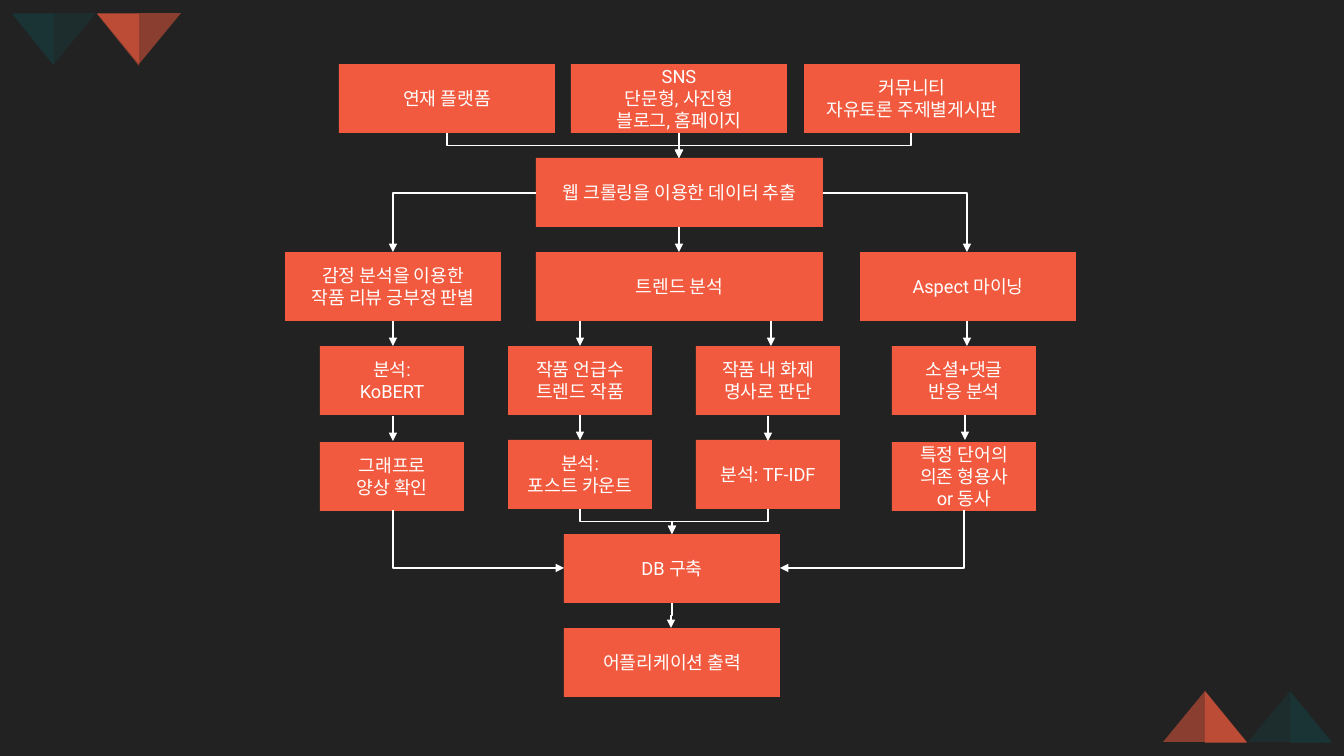
from lxml.etree import SubElement
from pptx import Presentation
from pptx.dml.color import RGBColor
from pptx.enum.shapes import MSO_CONNECTOR as Link, MSO_SHAPE as Preset
from pptx.enum.text import MSO_ANCHOR as Anchor, PP_ALIGN as Align
from pptx.oxml.ns import qn
from pptx.util import Pt

PX = 12192000 / 1344
DARK = RGBColor(0x22, 0x22, 0x22)
ORANGE = RGBColor(0xF1, 0x5A, 0x3E)
TEAL = RGBColor(0x19, 0x37, 0x39)
WHITE = RGBColor(0xFF, 0xFF, 0xFF)

BOX_HEIGHT = 69
SMALL, MEDIUM, WIDE = 144, 216, 287


def emu(px):
    return round(px * PX)


def row(number):
    return 64 + 94 * number


# left, top, width, lines of text
BOXES = [
    (339, row(0), MEDIUM, "연재 플랫폼"),
    (571, row(0), MEDIUM, "SNS\n단문형, 사진형\n블로그, 홈페이지"),
    (804, row(0), MEDIUM, "커뮤니티\n자유토론 주제별게시판"),
    (536, row(1), WIDE, "웹 크롤링을 이용한 데이터 추출"),
    (285, row(2), MEDIUM, "감정 분석을 이용한\n작품 리뷰 긍부정 판별"),
    (536, row(2), WIDE, "트렌드 분석"),
    (860, row(2), MEDIUM, "Aspect 마이닝"),
    (320, row(3), SMALL, "분석:\nKoBERT"),
    (508, row(3), SMALL, "작품 언급수\n트렌드 작품"),
    (696, row(3), SMALL, "작품 내 화제\n명사로 판단"),
    (892, row(3), SMALL, "소셜+댓글\n반응 분석"),
    (320, row(4) + 2, SMALL, "그래프로\n양상 확인"),
    (508, row(4), SMALL, "분석:\n포스트 카운트"),
    (696, row(4), SMALL, "분석: TF-IDF"),
    (892, row(4) + 2, SMALL, "특정 단어의\n의존 형용사\nor 동사"),
    (564, row(5), MEDIUM, "DB 구축"),
    (564, row(6), MEDIUM, "어플리케이션 출력"),
]

# x and top of the straight arrows, each one gap long
GAP = 25
DROPS = [(679, 133), (679, 227),
         (393, 321), (580, 321), (771, 321), (967, 321),
         (393, 416), (580, 415), (768, 416), (965, 415)]

# x1, y1, x2, y2 of the arrows that leave downwards
MERGES = [(447, 133, 679, 158), (911, 133, 679, 158),
          (580, 509, 672, 534), (768, 509, 672, 534), (672, 603, 671, 628)]
CORNERS_DOWN = [(393, 510, 564, 568), (964, 510, 780, 568)]
# and of those that leave sideways
CORNERS_SIDE = [(536, 193, 393, 252), (823, 193, 967, 252)]


def write_text(frame, text, *, size=13, font="Roboto", color=WHITE, align=Align.CENTER):
    frame.word_wrap = True
    frame.vertical_anchor = Anchor.MIDDLE
    for index, line in enumerate(text.split("\n")):
        para = frame.add_paragraph() if index else frame.paragraphs[0]
        para.alignment = align
        span = para.add_run()
        span.text = line
        span.font.size = Pt(size)
        span.font.name = font
        span.font.color.rgb = color


def add_block(slide, preset, left, top, width, height, color, alpha=100):
    block = slide.shapes.add_shape(preset, emu(left), emu(top), emu(width), emu(height))
    block.shadow.inherit = False
    block.fill.solid()
    block.fill.fore_color.rgb = color
    block.line.fill.background()
    if alpha < 100:
        tint = block.element.spPr.find(qn("a:solidFill"))[0]
        SubElement(tint, qn("a:alpha"), val=str(alpha * 1000))
    return block


def add_arrow(slide, kind, x1, y1, x2, y2):
    arrow = slide.shapes.add_connector(kind, emu(x1), emu(y1), emu(x2), emu(y2))
    arrow.line.color.rgb = WHITE
    arrow.line.width = Pt(1)
    props = arrow.element.spPr
    SubElement(props.find(qn("a:ln")), qn("a:tailEnd"), type="triangle")
    SubElement(props, qn("a:effectLst"))
    return arrow


def make_corner(arrow):
    arrow.element.spPr.find(qn("a:prstGeom")).set("prst", "bentConnector2")


def add_elbow_down(slide, x1, y1, x2, y2):
    """Lay the elbow on its side about its centre, then turn it to leave downwards."""
    mid_x, mid_y = (x1 + x2) / 2, (y1 + y2) / 2
    half_x, half_y = (x2 - x1) / 2, (y2 - y1) / 2
    arrow = add_arrow(slide, Link.ELBOW, mid_x - half_y, mid_y + half_x,
                      mid_x + half_y, mid_y - half_x)
    arrow.rotation = 90
    return arrow


def add_gem(slide, left, top, color, half_alpha, turned):
    whole = add_block(slide, Preset.ISOSCELES_TRIANGLE, left, top, 84, 51, color, 50)
    half_left, half_top = (left, top + 1) if turned else (left + 42, top)
    half = add_block(slide, Preset.RIGHT_TRIANGLE, half_left, half_top, 42, 52, color, half_alpha)
    if turned:
        whole.rotation = half.rotation = 180


def main():
    deck = Presentation()
    deck.slide_width, deck.slide_height = emu(1344), emu(756)
    slide = deck.slides.add_slide(deck.slide_layouts[6])
    slide.background.fill.solid()
    slide.background.fill.fore_color.rgb = DARK

    # Corner ornaments
    add_gem(slide, 97, 13, ORANGE, 50, True)
    add_gem(slide, 12, 13, TEAL, 70, True)
    add_gem(slide, 1163, 691, ORANGE, 50, False)
    add_gem(slide, 1248, 691, TEAL, 70, False)

    # Steps of the flow
    for left, top, width, text in BOXES:
        box = add_block(slide, Preset.RECTANGLE, left, top, width, BOX_HEIGHT, ORANGE)
        write_text(box.text_frame, text)

    # Arrows
    for x, top in DROPS:
        add_arrow(slide, Link.STRAIGHT, x, top, x, top + GAP)
    for ends in MERGES:
        add_elbow_down(slide, *ends)
    for ends in CORNERS_DOWN:
        make_corner(add_elbow_down(slide, *ends))
    for ends in CORNERS_SIDE:
        make_corner(add_arrow(slide, Link.ELBOW, *ends))

    deck.save("out.pptx")


if __name__ == "__main__":
    main()
